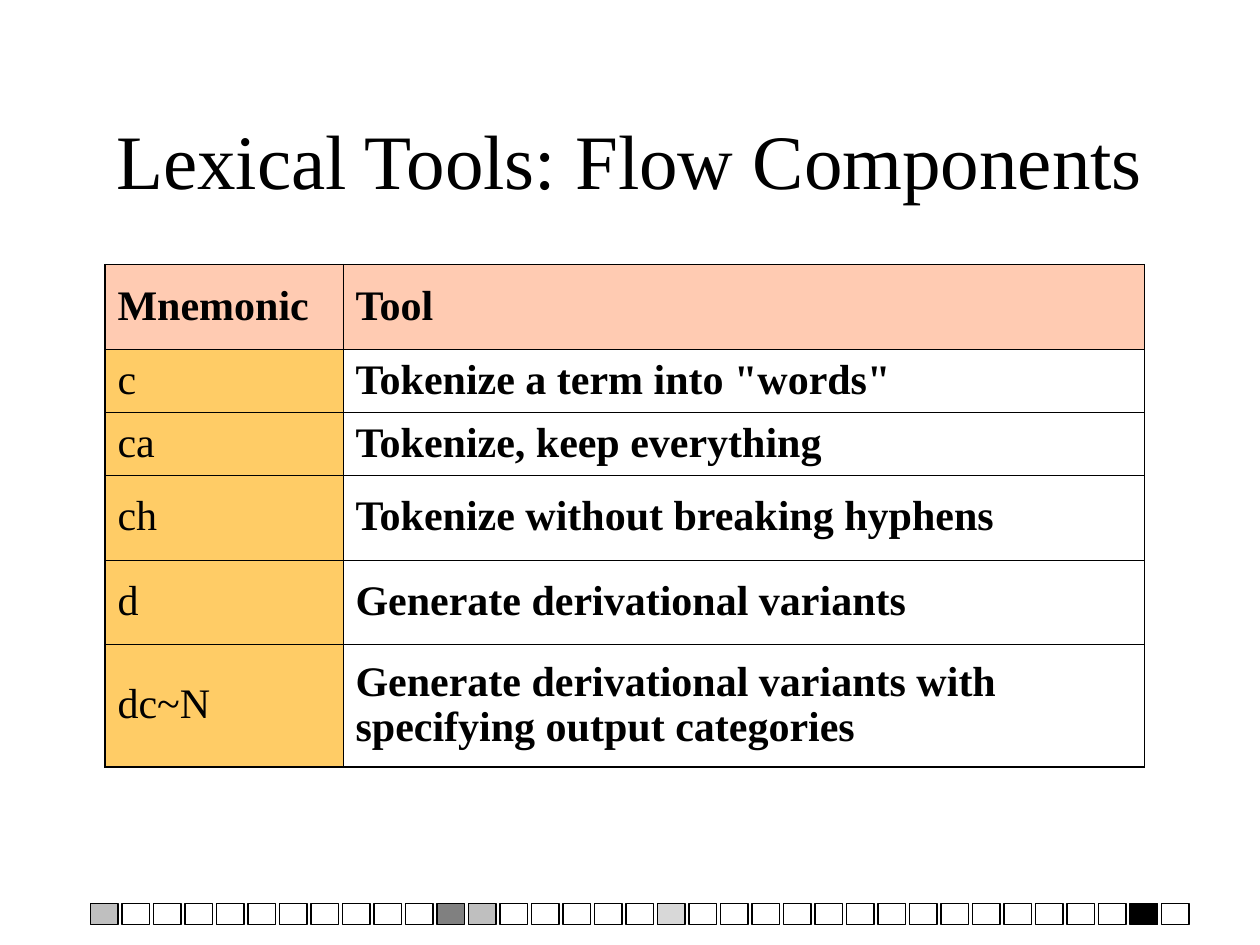
"""Build a slide with a table of lexical tool flow components."""
from typing import NamedTuple

from lxml import etree
from pptx import Presentation
from pptx.dml.color import RGBColor
from pptx.enum.shapes import MSO_SHAPE
from pptx.enum.text import MSO_ANCHOR, PP_ALIGN
from pptx.oxml.ns import qn
from pptx.util import Pt

RECTANGLE = MSO_SHAPE.RECTANGLE
MIDDLE = MSO_ANCHOR.MIDDLE
LEFT, CENTER = PP_ALIGN.LEFT, PP_ALIGN.CENTER
TITLE_ONLY = 5
FONT = "Times New Roman"
BLACK = "000000"
THIN, THICK = 0.45, 1.08


class Component(NamedTuple):
    """One table row: its two texts and its height."""
    mnemonic: str
    tool: str
    height: float


class Tint(NamedTuple):
    """A fill colour with its opacity in percent."""
    color: str
    opacity: int = 100


COMPONENTS = [
    Component("Mnemonic", "Tool", 48.3),
    Component("c", 'Tokenize a term into "words"', 36.3),
    Component("ca", "Tokenize, keep everything", 36),
    Component("ch", "Tokenize without breaking hyphens", 48.2),
    Component("d", "Generate derivational variants", 48.4),
    Component("dc~N", "Generate derivational variants with specifying output categories", 69.9),
]
COLUMN_WIDTHS = (136, 458)
HEADER = Tint("FF9966", 50)
BODY = (Tint("FFCC66"), Tint("FFFFFF"))
SQUARE_COUNT = 35
SQUARE_TINTS = {
    0: Tint("808080", 50),
    11: Tint("808080"),
    12: Tint("808080", 50),
    18: Tint("B2B2B2", 50),
    33: Tint(BLACK),
}


def rgb(value: str) -> RGBColor:
    """Turn a hex string into a colour."""
    return RGBColor.from_string(value)


def paint(fill, tint: Tint, owner) -> None:
    """Apply a solid fill, with transparency where the tint asks for it."""
    fill.solid()
    fill.fore_color.rgb = rgb(tint.color)
    if tint.opacity < 100:
        color = owner.find(qn("a:solidFill")).find(qn("a:srgbClr"))
        etree.SubElement(color, qn("a:alpha"), val=str(tint.opacity * 1000))


def write(frame, text: str, size: float, bold: bool, align) -> None:
    """Put one formatted paragraph into a text frame."""
    frame.text = text
    para = frame.paragraphs[0]
    para.alignment = align
    para.line_spacing = 0.95
    span = para.runs[0]
    for name, value in {"name": FONT, "size": Pt(size), "bold": bold}.items():
        setattr(span.font, name, value)
    span.font.color.rgb = rgb(BLACK)


def add_borders(cell, widths: dict[str, float]) -> None:
    """Draw the four black borders of a cell."""
    properties = cell._tc.get_or_add_tcPr()
    for index, (side, width) in enumerate(widths.items()):
        border = etree.Element(qn(f"a:ln{side}"), w=str(int(Pt(width))))
        solid = etree.SubElement(border, qn("a:solidFill"))
        etree.SubElement(solid, qn("a:srgbClr"), val=BLACK)
        properties.insert(index, border)


def add_squares(page) -> None:
    """Draw the row of small squares along the bottom edge."""
    for index in range(SQUARE_COUNT):
        box = page.shapes.add_shape(
            RECTANGLE, Pt(51.7 + 18 * index), Pt(516.2), Pt(15.8), Pt(12.2))
        box.shadow.inherit = False
        box.line.color.rgb = rgb(BLACK)
        box.line.width = Pt(0.75)
        if index in SQUARE_TINTS:
            paint(box.fill, SQUARE_TINTS[index], box._element.spPr)
        else:
            box.fill.background()


def add_title(page, text: str) -> None:
    """Place and format the slide title."""
    title = page.shapes.title
    place = {"left": 54, "top": 48, "width": 612, "height": 90}
    for name, value in place.items():
        setattr(title, name, Pt(value))
    title.text_frame.word_wrap = True
    title.text_frame.vertical_anchor = MIDDLE
    write(title.text_frame, text, 44, False, CENTER)


def add_component_table(page, components: list[Component]) -> None:
    """Draw the table with a header row and a tinted first column."""
    last_row, last_column = len(components) - 1, len(COLUMN_WIDTHS) - 1
    table = page.shapes.add_table(
        len(components), len(COLUMN_WIDTHS), Pt(60), Pt(151.2),
        Pt(sum(COLUMN_WIDTHS)), Pt(sum(item.height for item in components))).table
    table.first_row = table.horz_banding = False
    for column, width in zip(table.columns, COLUMN_WIDTHS):
        column.width = Pt(width)
    for row, item in enumerate(components):
        table.rows[row].height = Pt(item.height)
        for column, text in enumerate((item.mnemonic, item.tool)):
            cell = table.cell(row, column)
            cell.vertical_anchor = MIDDLE
            write(cell.text_frame, text, 24, row == 0 or column > 0, LEFT)
            tint = HEADER if row == 0 else BODY[column]
            paint(cell.fill, tint, cell._tc.tcPr)
            add_borders(cell, {
                "L": THICK if column == 0 else THIN,
                "R": THICK if column == last_column else THIN,
                "T": THICK if row == 0 else THIN,
                "B": THICK if row == last_row else THIN,
            })


def main() -> None:
    """Build and save the deck."""
    deck = Presentation()
    deck.slide_width, deck.slide_height = Pt(720), Pt(540)
    page = deck.slides.add_slide(deck.slide_layouts[TITLE_ONLY])
    add_squares(page)
    add_title(page, "Lexical Tools: Flow Components")
    add_component_table(page, COMPONENTS)
    deck.save("out.pptx")


if __name__ == "__main__":
    main()
